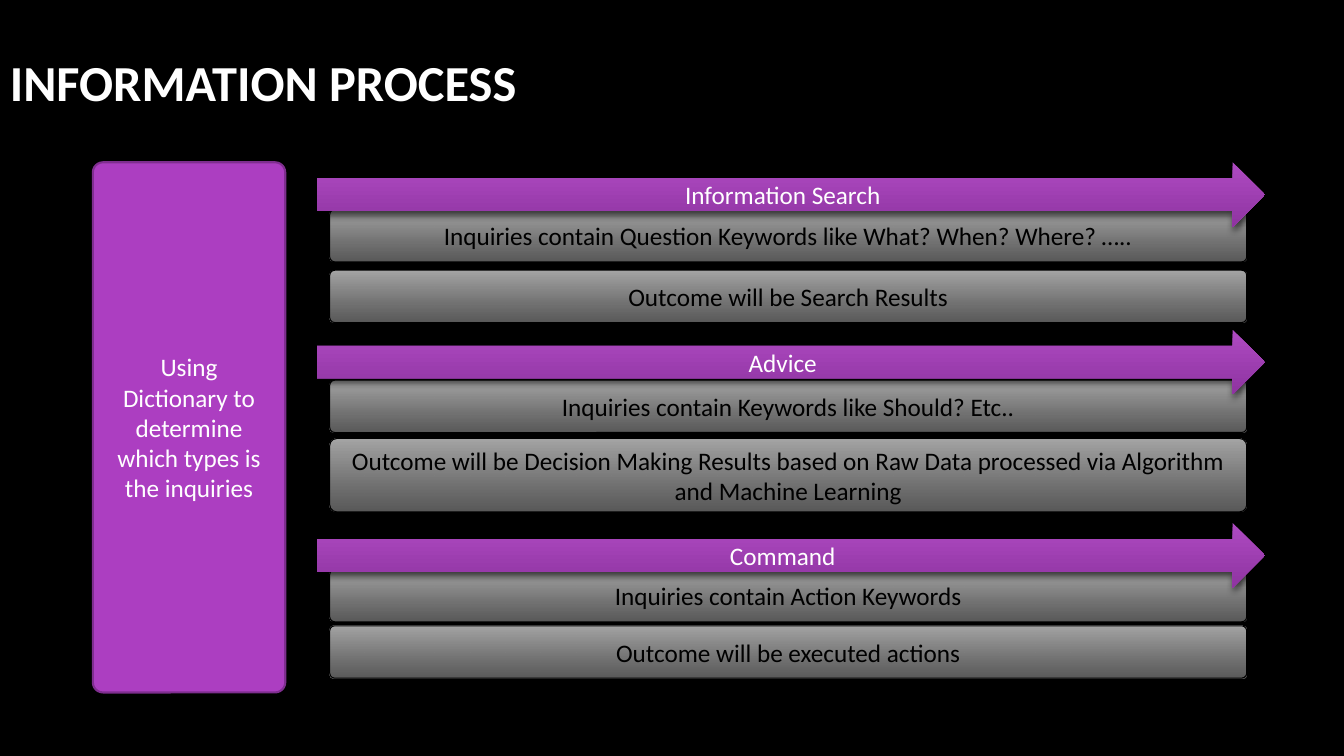
from lxml import etree
from pptx import Presentation
from pptx.dml.color import RGBColor
from pptx.enum.shapes import MSO_SHAPE
from pptx.enum.text import MSO_ANCHOR, PP_ALIGN
from pptx.oxml.ns import qn
from pptx.util import Cm, Pt

ROUNDED = MSO_SHAPE.ROUNDED_RECTANGLE
ARROW = MSO_SHAPE.RIGHT_ARROW
MIDDLE = MSO_ANCHOR.MIDDLE
CENTER, LEFT = PP_ALIGN.CENTER, PP_ALIGN.LEFT

COLORS = {
    "black": "000000",
    "white": "FFFFFF",
    "panel": "AC3EC1",
    "panel_line": "7F2E8F",
    "arrow_top": "AE4AC2",
    "arrow_bottom": "8F34A1",
    "bar_top": "A6A6A6",
    "bar_bottom": "797979",
}

BAR_INSET = 0.33
BAR_WIDTH = 23.11
ARROW_HEIGHT = 1.63

# Each group: top, heading, bars as (offset from top, height, text), in cm
GROUPS = [
    (4.09, "Information Search", [
        (1.19, 1.32, "Inquiries contain Question Keywords like What? When? Where? ….."),
        (2.72, 1.32, "Outcome will be Search Results"),
    ]),
    (8.31, "Advice", [
        (1.27, 1.32, "Inquiries contain Keywords like Should? Etc.."),
        (2.74, 1.85, "Outcome will be Decision Making Results based on Raw Data "
                     "processed via Algorithm and Machine Learning"),
    ]),
    (13.18, "Command", [
        (1.17, 1.32, "Inquiries contain Action Keywords"),
        (2.59, 1.32, "Outcome will be executed actions"),
    ]),
]


def color(name):
    return RGBColor.from_string(COLORS[name])


def write_text(shape, text, color_name, size=18, bold=False, alignment=CENTER):
    frame = shape.text_frame
    frame.word_wrap = True
    frame.vertical_anchor = MIDDLE
    paragraph = frame.paragraphs[0]
    paragraph.text = text
    paragraph.alignment = alignment
    paragraph.font.name = "Calibri"
    paragraph.font.size = Pt(size)
    paragraph.font.bold = bold
    paragraph.font.color.rgb = color(color_name)


def add_shape(slide, kind, left, top, width, height):
    shape = slide.shapes.add_shape(kind, Cm(left), Cm(top), Cm(width), Cm(height))
    shape.shadow.inherit = False
    return shape


def set_outline(shape, color_name, width):
    shape.line.color.rgb = color(color_name)
    shape.line.width = Pt(width)


def fill_downward(shape, top_color, bottom_color):
    """Fill with a gradient that runs from top to bottom."""
    shape.fill.gradient()
    shape.fill.gradient_angle = 270
    for stop, name in zip(shape.fill.gradient_stops, (top_color, bottom_color)):
        stop.color.rgb = color(name)


def set_alpha(color_element, percent):
    etree.SubElement(color_element, qn("a:alpha"), val=str(percent * 1000))


def add_drop_shadow(shape):
    effects = shape._element.spPr.find(qn("a:effectLst"))
    shadow = etree.SubElement(
        effects, qn("a:outerShdw"), blurRad=str(Pt(5)), dist=str(Pt(3)),
        dir="5400000", algn="ctr", rotWithShape="0")
    shadow_color = etree.SubElement(shadow, qn("a:srgbClr"), val=COLORS["black"])
    set_alpha(shadow_color, 65)


def add_title(slide, left, top, width, height):
    box = slide.shapes.add_textbox(Cm(left), Cm(top), Cm(width), Cm(height))
    write_text(box, "INFORMATION PROCESS", "white", 36, True, LEFT)


def add_panel(slide, left, top, width, height):
    panel = add_shape(slide, ROUNDED, left, top, width, height)
    panel.adjustments[0] = 0.053
    panel.fill.solid()
    panel.fill.fore_color.rgb = color("panel")
    set_outline(panel, "panel_line", 1.5)
    write_text(panel, "Using Dictionary to determine which types is the inquiries", "white")


def add_bar(slide, left, top, width, height, text):
    bar = add_shape(slide, ROUNDED, left, top, width, height)
    bar.adjustments[0] = 0.097
    fill_downward(bar, "bar_top", "bar_bottom")
    set_alpha(bar._element.xpath(".//a:gs[2]/a:srgbClr")[0], 74)
    set_outline(bar, "black", 0.75)
    write_text(bar, text, "black")


def add_group(slide, left, top, width, heading, bars):
    """Place the bars, then the heading arrow over the first of them."""
    for offset, height, text in bars:
        add_bar(slide, left + BAR_INSET, top + offset, BAR_WIDTH, height, text)
    arrow = add_shape(slide, ARROW, left, top, width, ARROW_HEIGHT)
    fill_downward(arrow, "arrow_top", "arrow_bottom")
    arrow.line.fill.background()
    add_drop_shadow(arrow)
    write_text(arrow, heading, "white")


def main():
    presentation = Presentation()
    presentation.slide_width = Cm(33.87)
    presentation.slide_height = Cm(19.05)
    slide = presentation.slides.add_slide(presentation.slide_layouts[6])
    slide.background.fill.solid()
    slide.background.fill.fore_color.rgb = color("black")
    add_title(slide, 0, 0.03, 28.14, 4.04)
    add_panel(slide, 2.34, 4.09, 4.85, 13.36)
    for top, heading, bars in GROUPS:
        add_group(slide, 7.98, top, 23.9, heading, bars)
    presentation.save("out.pptx")


if __name__ == "__main__":
    main()
